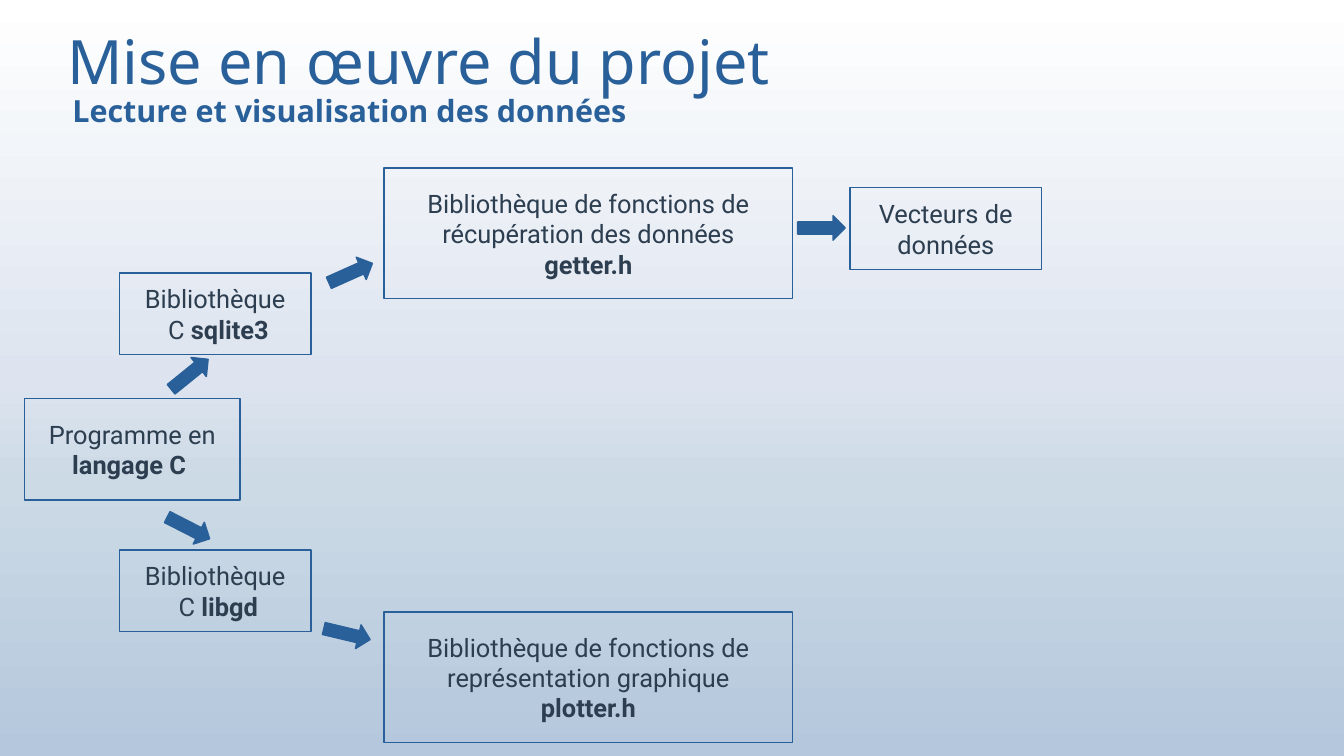
from copy import deepcopy

from pptx import Presentation
from pptx.dml.color import RGBColor
from pptx.enum.shapes import MSO_SHAPE
from pptx.enum.text import MSO_ANCHOR, PP_ALIGN
from pptx.oxml.ns import qn
from pptx.util import Inches, Pt

RECTANGLE = MSO_SHAPE.RECTANGLE
RIGHT_ARROW = MSO_SHAPE.RIGHT_ARROW
MIDDLE = MSO_ANCHOR.MIDDLE
CENTER = PP_ALIGN.CENTER
LEFT = PP_ALIGN.LEFT

COLORS = {"blue": "2A6099", "text": "2C3E50"}
BACKGROUND_STOPS = [(0, "FFFFFF"), (0.5, "DDE4EF"), (0.64, "CCDAE6"), (1, "B4C7DC")]
HEADING_FONT = "Noto Sans"
BODY_FONT = "Roboto"
LINE_WIDTH = Pt(0.85)

FUNCTION_BOX = (3.35, 1.07)
LIBRARY_BOX = (1.57, 0.67)
PROGRAM_BOX = (1.77, 0.83)
ARROW = (0.39, 0.2)

# Left, top, size, lines; each line is a list of (text, bold) runs
BOXES = [
    (3.15, 1.38, FUNCTION_BOX,
     [[("Bibliothèque de fonctions de récupération des données", False)],
      [("getter.h", True)]]),
    (0.98, 2.24, LIBRARY_BOX,
     [[("Bibliothèque", False)], [(" C ", False), ("sqlite3", True)]]),
    (6.97, 1.54, LIBRARY_BOX, [[("Vecteurs de données", False)]]),
    (0.2, 3.27, PROGRAM_BOX,
     [[("Programme en", False)], [("langage C ", True)]]),
    (3.15, 5.02, FUNCTION_BOX,
     [[("Bibliothèque de fonctions de représentation graphique", False)],
      [("plotter.h", True)]]),
    (0.98, 4.51, LIBRARY_BOX,
     [[("Bibliothèque", False)], [(" C ", False), ("libgd", True)]]),
]

# Left, top, rotation in degrees
ARROWS = [
    (6.54, 1.77, 0),
    (2.68, 2.14, 335.9),
    (1.36, 2.97, 321),
    (1.35, 4.23, 27.1),
    (2.65, 5.1, 13.4),
]


def color(name):
    return RGBColor.from_string(COLORS[name])


def paint_background(slide):
    fill = slide.background.fill
    fill.gradient()
    fill.gradient_angle = 270
    stop_list = slide.element.find(".//" + qn("a:gsLst"))
    while len(stop_list) < len(BACKGROUND_STOPS):
        stop_list.append(deepcopy(stop_list[0]))
    for stop, (position, value) in zip(fill.gradient_stops, BACKGROUND_STOPS):
        stop.position = position
        stop.color.rgb = RGBColor.from_string(value)


def add_heading(slide, box, text, size, bold, alignment, margins):
    """Margins are the horizontal and vertical insets in inches."""
    frame = slide.shapes.add_textbox(*map(Inches, box)).text_frame
    frame.word_wrap = True
    frame.vertical_anchor = MIDDLE
    frame.margin_left = frame.margin_right = Inches(margins[0])
    frame.margin_top = frame.margin_bottom = Inches(margins[1])
    paragraph = frame.paragraphs[0]
    paragraph.text = text
    paragraph.alignment = alignment
    paragraph.font.name = HEADING_FONT
    paragraph.font.size = Pt(size)
    paragraph.font.bold = bold
    paragraph.font.color.rgb = color("blue")


def add_outlined_shape(slide, kind, left, top, size):
    shape = slide.shapes.add_shape(kind, *map(Inches, (left, top, *size)))
    shape.shadow.inherit = False
    shape.line.color.rgb = color("blue")
    shape.line.width = LINE_WIDTH
    return shape


def add_box(slide, left, top, size, lines):
    shape = add_outlined_shape(slide, RECTANGLE, left, top, size)
    shape.fill.background()
    frame = shape.text_frame
    frame.word_wrap = True
    frame.vertical_anchor = MIDDLE
    for index, runs in enumerate(lines):
        paragraph = frame.add_paragraph() if index else frame.paragraphs[0]
        paragraph.alignment = CENTER
        for text, bold in runs:
            run = paragraph.add_run()
            run.text = text
            run.font.name = BODY_FONT
            run.font.size = Pt(15)
            run.font.bold = bold
            run.font.color.rgb = color("text")


def add_arrow(slide, left, top, rotation):
    shape = add_outlined_shape(slide, RIGHT_ARROW, left, top, ARROW)
    shape.fill.solid()
    shape.fill.fore_color.rgb = color("blue")
    shape.rotation = rotation


def main():
    presentation = Presentation()
    presentation.slide_width = Inches(11.02)
    presentation.slide_height = Inches(6.2)
    slide = presentation.slides.add_slide(presentation.slide_layouts[6])
    paint_background(slide)
    add_heading(slide, (0.55, -0.03, 9.92, 1.04), "Mise en œuvre du projet",
                36.1, False, LEFT, (0, 0))
    add_heading(slide, (-0.02, 0.71, 5.77, 0.39), "Lecture et visualisation des données",
                18, True, CENTER, (0.1, 0.05))
    for box in BOXES:
        add_box(slide, *box)
    for arrow in ARROWS:
        add_arrow(slide, *arrow)
    presentation.save("out.pptx")


if __name__ == "__main__":
    main()
